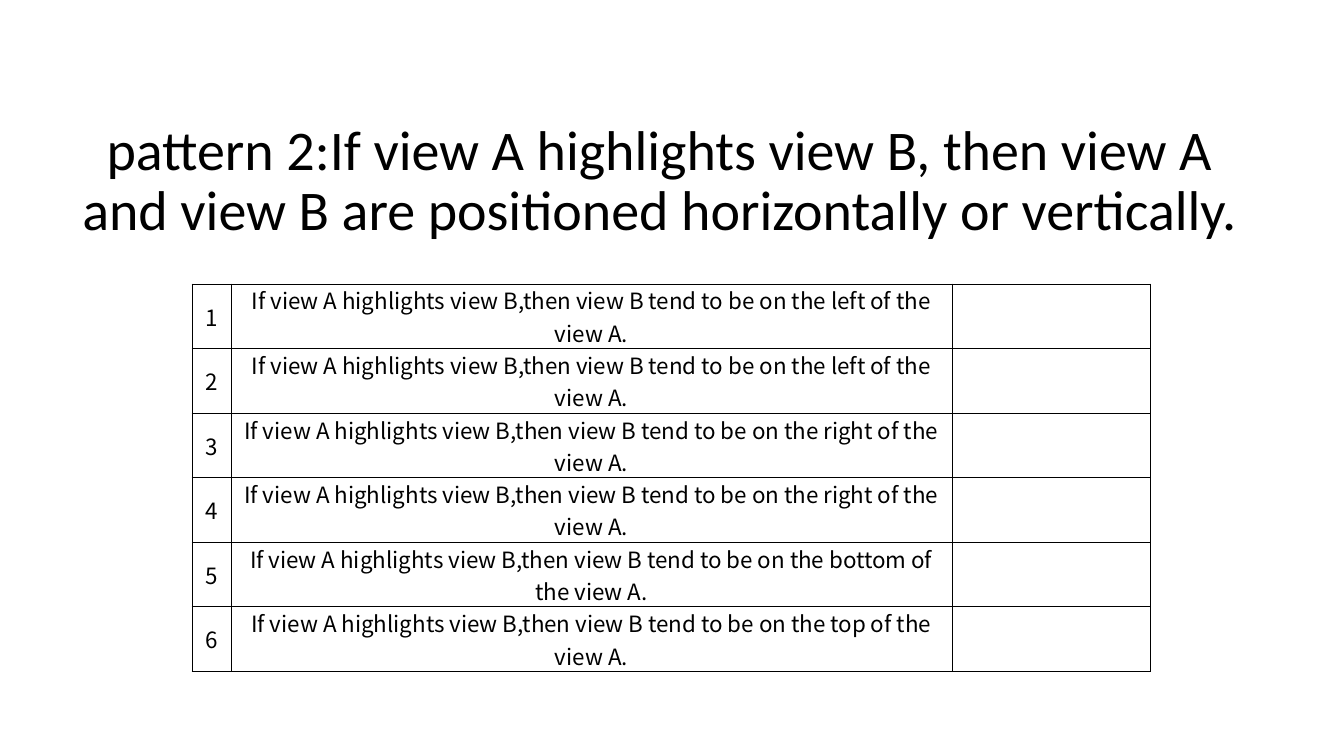
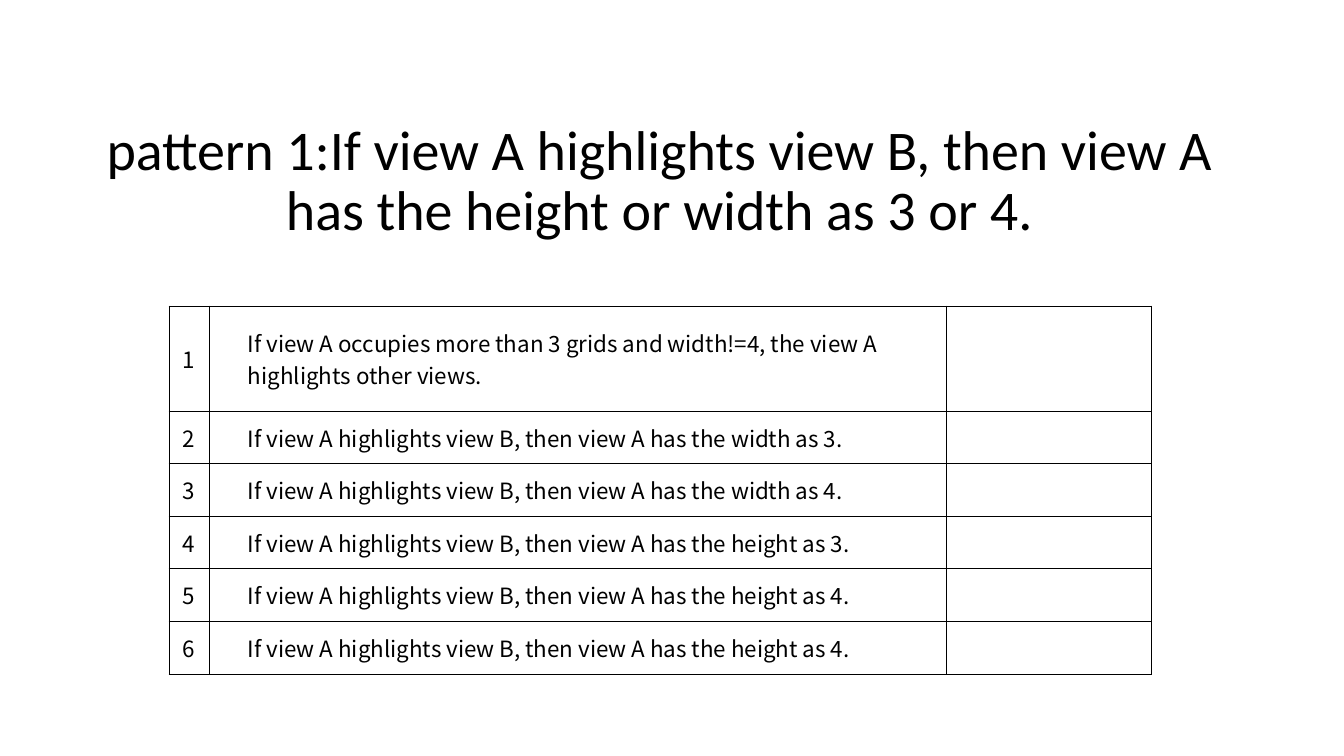
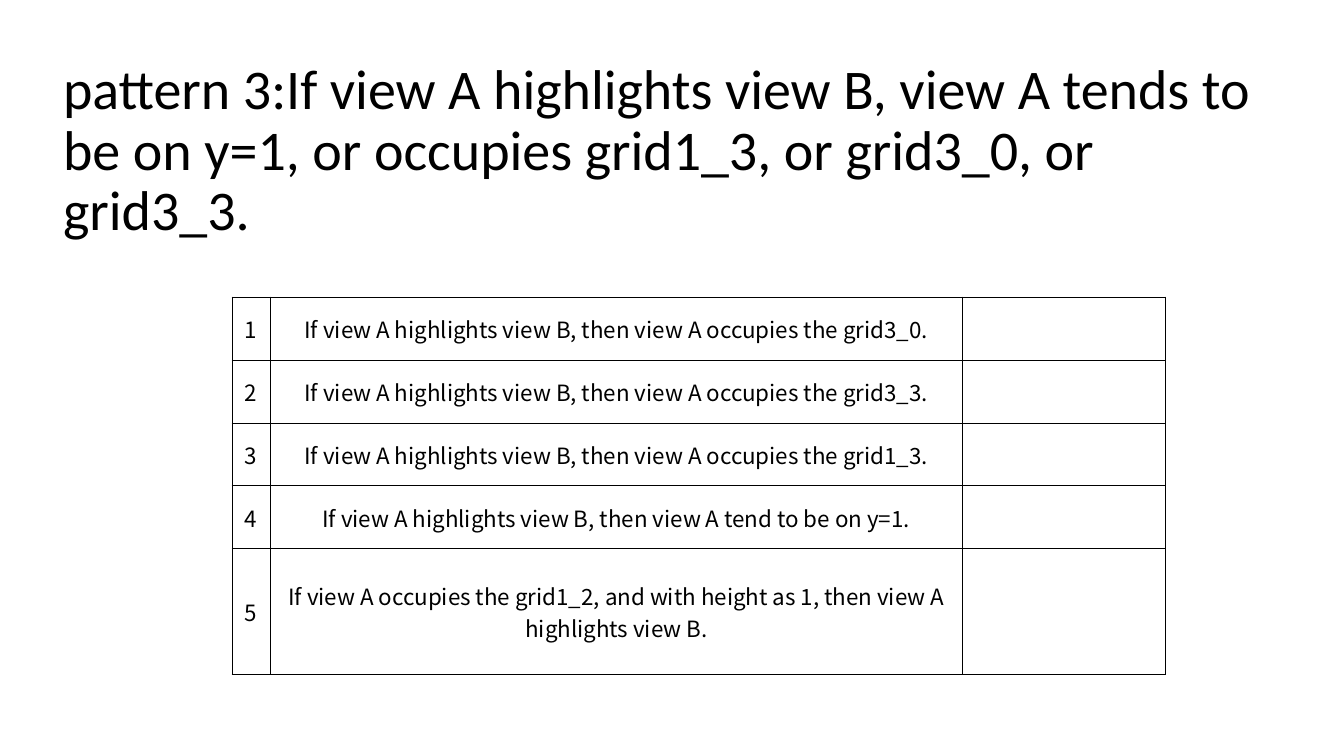
from lxml import etree
from pptx import Presentation
from pptx import util as u
from pptx.dml.color import RGBColor
from pptx.enum import text
from pptx.oxml import ns

# Content: each rule is (wording, height of its row in row units)
PATTERNS = [
    {
        "title": "pattern 2:If view A highlights view B, then view A "
                 "and view B are positioned horizontally or vertically.",
        "title_align": text.PP_ALIGN.CENTER,
        "rules": [
            (f"If view A highlights view B,then view B tend to be on the {side} of the view A.", 1)
            for side in ("left", "left", "right", "right", "bottom", "top")
        ],
        "rule_format": {"align": text.PP_ALIGN.CENTER},
        "corner": (192, 284), "columns": (39, 721, 199), "unit": 61,
    },
    {
        "title": "pattern 1:If view A highlights view B, then view A "
                 "has the height or width as 3 or 4.",
        "title_align": text.PP_ALIGN.CENTER,
        "rules": [
            ("If view A occupies more than 3 grids and width!=4, "
             "the view A highlights other views.", 2),
        ] + [
            (f"If view A highlights view B, then view A has the {size}.", 1)
            for size in ("width as 3", "width as 4", "height as 3", "height as 4", "height as 4")
        ],
        "rule_format": {"align": text.PP_ALIGN.LEFT, "indent": 39},
        "corner": (169, 306), "columns": (40, 737, 206), "unit": 52.6,
    },
    {
        "title": "pattern 3:If view A highlights view B, view A tends to be on y=1, "
                 "or occupies grid1_3, or grid3_0, or grid3_3.",
        "title_align": text.PP_ALIGN.LEFT,
        "rules": [
            (f"If view A highlights view B, then view A {place}.", 1)
            for place in ("occupies the grid3_0", "occupies the grid3_3",
                          "occupies the grid1_3", "tend to be on y=1")
        ] + [
            ("If view A occupies the grid1_2, and with height as 1, "
             "then view A highlights view B.", 2),
        ],
        "rule_format": {"align": text.PP_ALIGN.CENTER},
        "corner": (232, 297), "columns": (38, 693, 203), "unit": 63,
    },
]

# Shared style
BLACK = RGBColor(0, 0, 0)
TITLE_FONT, TITLE_SIZE = "Calibri", 40
TABLE_FONT, TABLE_SIZE = "Noto Sans CJK SC", 16
TITLE_AREA = (53, 86, 1213, 162)
PAGE_SIZE = (1344, 756)
BORDER_WIDTH = u.Pt(0.75)


def px(length):
    """Turn pixels into EMU."""
    return u.Emu(round(length * 914400 / 100.8))


def write(frame, words, font=TABLE_FONT, size=TABLE_SIZE,
          align=text.PP_ALIGN.CENTER, spacing=None, indent=0):
    """Write one formatted paragraph into a text frame."""
    para = frame.paragraphs[0]
    para.alignment = align
    para.line_spacing = spacing
    if indent:
        para._p.get_or_add_pPr().set("marL", str(px(indent)))
    span = para.add_run()
    span.text = words
    span.font.name = font
    span.font.size = u.Pt(size)
    span.font.color.rgb = BLACK


def style_cell(cell):
    """Give a cell thin borders, no fill, no margins and middle anchoring."""
    properties = cell._tc.get_or_add_tcPr()
    for side in ("lnL", "lnR", "lnT", "lnB"):
        line = etree.SubElement(properties, ns.qn(f"a:{side}"), w=str(BORDER_WIDTH))
        fill = etree.SubElement(line, ns.qn("a:solidFill"))
        etree.SubElement(fill, ns.qn("a:srgbClr"), val=str(BLACK))
    cell.fill.background()
    cell.margin_left = cell.margin_right = cell.margin_top = cell.margin_bottom = 0
    cell.vertical_anchor = text.MSO_ANCHOR.MIDDLE


def add_title(page, words, align):
    """Place and fill the title placeholder."""
    title = page.shapes.title
    title.left, title.top, title.width, title.height = map(px, TITLE_AREA)
    frame = title.text_frame
    frame.word_wrap = True
    frame.auto_size = text.MSO_AUTO_SIZE.NONE
    frame.vertical_anchor = text.MSO_ANCHOR.BOTTOM
    write(frame, words, font=TITLE_FONT, size=TITLE_SIZE, align=align, spacing=0.9)


def add_rules(page, rules, rule_format, corner, columns, unit):
    """Add the table of numbered rules with an empty last column."""
    height = unit * sum(units for _, units in rules)
    table = page.shapes.add_table(len(rules), len(columns), *map(px, corner),
                                  px(sum(columns)), px(height)).table
    table.first_row = table.horz_banding = False
    for column, width in zip(table.columns, columns):
        column.width = px(width)
    for cell in table.iter_cells():
        style_cell(cell)
    for index, (words, units) in enumerate(rules):
        table.rows[index].height = px(unit * units)
        write(table.cell(index, 0).text_frame, str(index + 1))
        write(table.cell(index, 1).text_frame, words, **rule_format)


deck = Presentation()
deck.slide_width, deck.slide_height = map(px, PAGE_SIZE)
title_only = deck.slide_layouts[5]
for pattern in PATTERNS:
    page = deck.slides.add_slide(title_only)
    add_title(page, pattern["title"], pattern["title_align"])
    add_rules(page, pattern["rules"], pattern["rule_format"],
              pattern["corner"], pattern["columns"], pattern["unit"])
deck.save("out.pptx")
